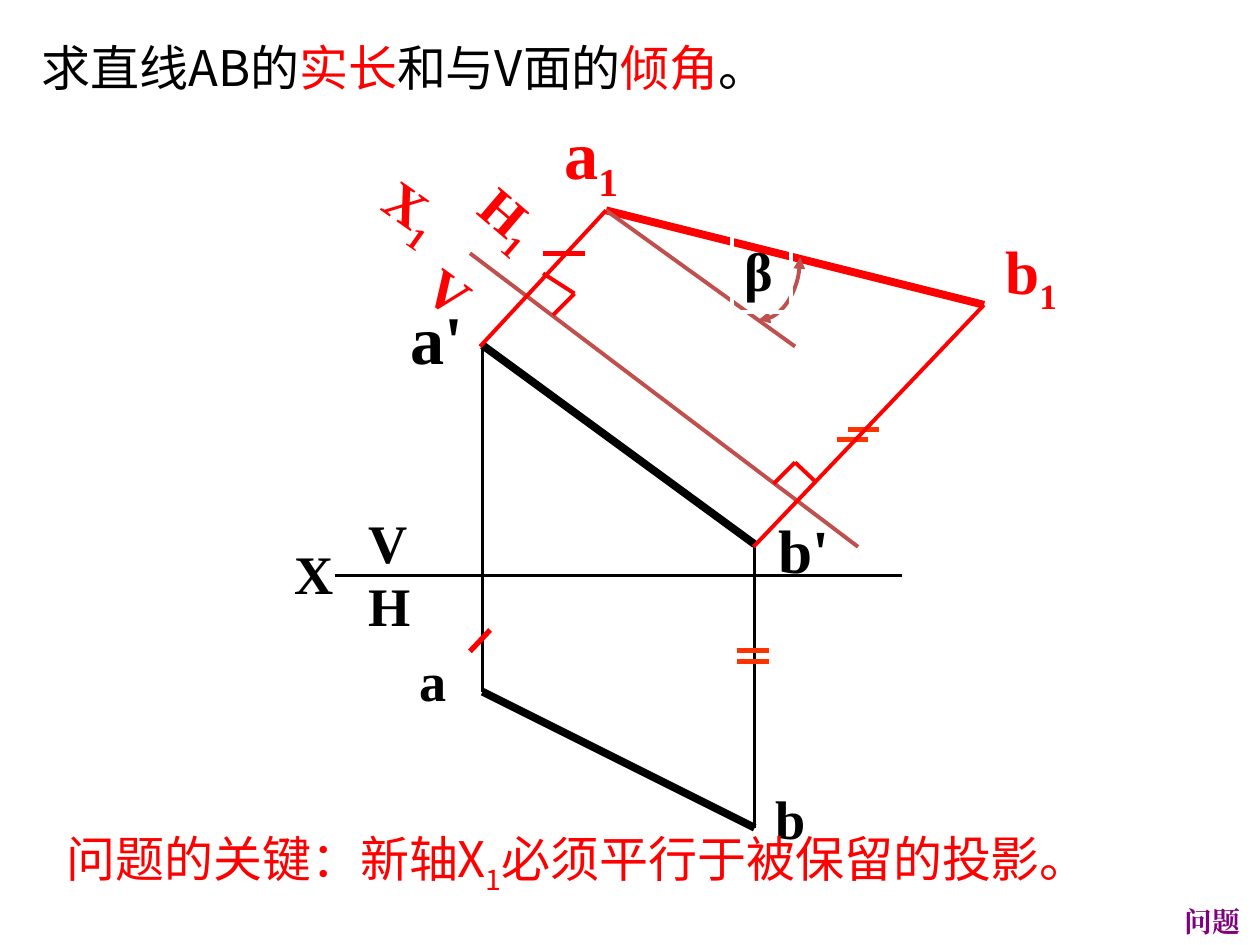
from lxml.etree import SubElement
from pptx import Presentation
from pptx.dml.color import RGBColor
from pptx.enum.shapes import MSO_CONNECTOR as CONNECTOR, MSO_SHAPE as SHAPE
from pptx.enum.text import MSO_ANCHOR as ANCHOR, MSO_AUTO_SIZE as AUTO_SIZE, PP_ALIGN as ALIGN
from pptx.oxml.ns import qn
from pptx.util import Inches, Pt

BLACK, RED, ORANGE, BRICK = "000000", "FF0000", "FF3300", "C0504D"
WHITE, PURPLE = "FFFFFF", "800080"
SERIF, SANS = "Times New Roman", "Noto Sans CJK SC"

A_FRONT, B_FRONT = (3.83, 2.74), (5.99, 4.32)
A_TOP, B_TOP = (3.83, 5.49), (5.99, 6.57)
A_NEW, B_NEW = (4.81, 1.67), (7.81, 2.42)


def hex_color(value):
    return RGBColor.from_string(value)


def place(shape, left, top, width, height):
    shape.left, shape.top = Inches(left), Inches(top)
    shape.width, shape.height = Inches(width), Inches(height)


def write_runs(shape, pieces, size, font=SERIF, bold=True, wrap=False, align=ALIGN.LEFT):
    frame = shape.text_frame
    frame.word_wrap = wrap
    frame.auto_size = AUTO_SIZE.NONE
    frame.vertical_anchor = ANCHOR.TOP
    paragraph = frame.paragraphs[0]
    paragraph.alignment = align
    for text, color, *baseline in pieces:
        run = paragraph.add_run()
        run.text = text
        run.font.size = Pt(size)
        run.font.bold = bold
        run.font.name = font
        run.font.color.rgb = hex_color(color)
        properties = run._r.get_or_add_rPr()
        SubElement(properties, qn("a:ea")).set("typeface", font)
        if baseline:
            properties.set("baseline", str(baseline[0] * 1000))


def add_label(slide, box, text, size=31, color=BLACK, subscript="", rotation=0):
    label = slide.shapes.add_textbox(*map(Inches, box))
    label.rotation = rotation
    pieces = [(text, color)]
    if subscript:
        pieces.append((subscript, color, -25))
    write_runs(label, pieces, size)


def add_line(slide, start, end, color, width):
    line = slide.shapes.add_connector(CONNECTOR.STRAIGHT, *map(Inches, start + end))
    line.line.color.rgb = hex_color(color)
    line.line.width = Pt(width)
    SubElement(line._element.spPr, qn("a:effectLst"))


def add_outline(slide, kind, box, color):
    outline = slide.shapes.add_shape(kind, *map(Inches, box))
    outline.shadow.inherit = False
    outline.fill.background()
    outline.line.color.rgb = hex_color(color)
    outline.line.width = Pt(2.25)
    return outline


def add_angle(slide):
    add_line(slide, A_NEW, (6.31, 2.75), BRICK, 2.25)
    arc = add_outline(slide, SHAPE.ARC, (5.69, 1.54, 0.66, 1), BRICK)
    arc.adjustments[0], arc.adjustments[1] = 0, 54
    for end in ("a:headEnd", "a:tailEnd"):
        SubElement(arc.line._get_or_add_ln(), qn(end)).set("type", "triangle")
    beta = add_outline(slide, SHAPE.RECTANGLE, (5.81, 1.83, 0.47, 0.65), WHITE)
    write_runs(beta, [("β", BLACK)], 31)


def add_projections(slide):
    add_line(slide, (2.66, 4.57), (7.16, 4.57), BLACK, 1.5)
    for start, end, width in (
        (A_TOP, B_TOP, 4.5), (A_TOP, A_FRONT, 1.5),
        (A_FRONT, B_FRONT, 4.5), (B_TOP, B_FRONT, 1.5),
    ):
        add_line(slide, start, end, BLACK, width)
    for text, box, size in (
        ("a", (3.23, 5.09, 0.42, 0.62), 31),
        ("b", (6.06, 6.18, 0.44, 0.62), 31),
        ("a'", (3.16, 2.3, 0.62, 0.75), 39),
        ("b'", (6.08, 4.02, 0.61, 0.68), 35),
        ("X", (2.24, 4.24, 0.51, 0.62), 31),
        ("V", (2.83, 3.99, 0.51, 0.62), 31),
        ("H", (2.83, 4.49, 0.54, 0.62), 31),
    ):
        add_label(slide, box, text, size)


def add_new_plane_labels(slide):
    for text, subscript, box, size, rotation in (
        ("X", "1", (2.97, 1.35, 0.66, 0.62), 31, 35.1),
        ("H", "1", (3.73, 1.41, 0.68, 0.62), 31, 40.6),
        ("V", "", (3.32, 2, 0.51, 0.62), 31, 36.2),
        ("a", "1", (4.38, 0.83, 0.65, 0.75), 39, 0),
        ("b", "1", (7.88, 1.8, 0.63, 0.68), 35, 0),
    ):
        add_label(slide, box, text, size, RED, subscript, rotation)


def add_equal_marks(slide):
    add_line(slide, (4.31, 2.01), (4.64, 2.01), RED, 3)
    add_line(slide, (3.73, 5.17), (3.89, 5), RED, 3)
    for left, top in ((6.64, 3.49), (6.73, 3.41), (5.85, 5.16), (5.85, 5.25)):
        add_line(slide, (left, top), (left + 0.25, top), ORANGE, 3)


def add_perpendiculars(slide):
    for foot, new_point, corner in (
        ((3.81, 2.75), A_NEW, ((4.31, 2.17), (4.56, 2.33), (4.39, 2.5))),
        ((5.98, 4.34), B_NEW, ((6.48, 3.83), (6.31, 3.67), (6.14, 3.84))),
    ):
        add_line(slide, foot, new_point, RED, 2.25)
        for start, end in zip(corner, corner[1:]):
            add_line(slide, start, end, RED, 2.25)


def add_sentences(slide):
    title = slide.shapes.title
    place(title, 0.23, 0.25, 6.6, 0.66)
    write_runs(title, [
        ("求直线AB的", BLACK), ("实长", RED), ("和与V面的", BLACK),
        ("倾角", RED), ("。", BLACK),
    ], 28, SANS, False, True)
    key = slide.shapes.add_textbox(*map(Inches, (0.43, 6.53, 8.6, 0.66)))
    write_runs(key, [
        ("问题的关键：新轴X", RED), ("1", RED, -25), ("必须平行于被保留的投影。", RED),
    ], 28, SANS, False, True)
    question = slide.shapes.add_textbox(*map(Inches, (9.29, 7.13, 0.65, 0.37)))
    write_runs(question, [("问题", PURPLE)], 16, align=ALIGN.RIGHT)


def main():
    deck = Presentation()
    deck.slide_width, deck.slide_height = Inches(10), Inches(7.5)
    slide = deck.slides.add_slide(deck.slide_layouts[5])
    add_line(slide, (3.73, 2.01), (6.81, 4.34), BRICK, 2.25)
    add_line(slide, A_NEW, B_NEW, RED, 4.5)
    add_angle(slide)
    add_new_plane_labels(slide)
    add_projections(slide)
    add_equal_marks(slide)
    add_sentences(slide)
    add_perpendiculars(slide)
    deck.save("out.pptx")


if __name__ == "__main__":
    main()
